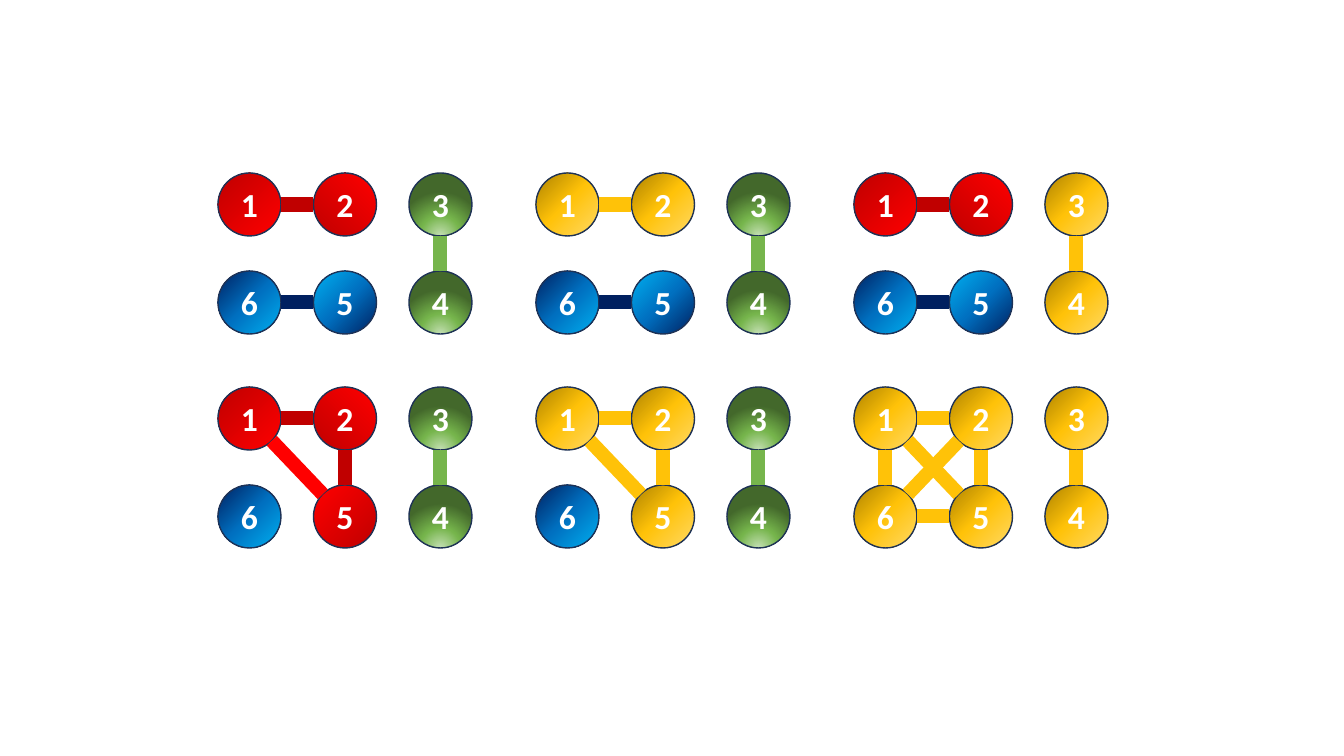
import pptx
import pptx.dml.color
import pptx.enum.shapes
import pptx.enum.text
import pptx.oxml
import pptx.oxml.ns
import pptx.util

EMU_PER_PX = 914400 / 100.8
DIAMETER = 63
LEFT, TOP = 218, 173
GROUP_DX, GROUP_DY = 318, 214
ROW_DY = 98
TWO_COLUMNS_DX = 191

RED = ((0, "C00000"), (100, "FF0000"))
RED_REVERSED = ((0, "FF0000"), (100, "C00000"))
BLUE = ((0, "00B0F0"), (50, "0070C0"), (100, "002060"))
GREEN = ((0, "C5E0B4"), (46, "76B54C"), (100, "43682B"))
GOLD = ((0, "AB8100"), (48, "FFC208"), (100, "FFD966"))

TOP_LEFT = (0, 0, 100, 100)
TOP_RIGHT = (100, 0, 0, 100)
BOTTOM_RIGHT = (100, 100, 0, 0)
BELOW = (50, 130, 50, -30)

FILLS = {
    "red1": (RED, TOP_LEFT),
    "red2": (RED_REVERSED, TOP_RIGHT),
    "red5": (RED, BOTTOM_RIGHT),
    "blue5": (BLUE, TOP_LEFT),
    "blue6": (BLUE, BOTTOM_RIGHT),
    "green": (GREEN, BELOW),
    "gold": (GOLD, None),
}
EDGE_COLORS = {
    "dark red": "C00000", "red": "FF0000", "navy": "002060",
    "green": "76B54C", "gold": "FFC208",
}

CELLS = {1: (0, 0), 2: (1, 0), 3: (2, 0), 4: (2, 1), 5: (1, 1), 6: (0, 1)}

GROUPS = [
    [
        ("red1 red2 green green blue5 blue6",
         {"dark red": "12", "navy": "65", "green": "34"}),
        ("gold gold green green blue5 blue6",
         {"gold": "12", "navy": "65", "green": "34"}),
        ("red1 red2 gold gold blue5 blue6",
         {"dark red": "12", "navy": "65", "gold": "34"}),
    ],
    [
        ("red1 red2 green green red5 blue6",
         {"dark red": "12 52", "red": "15", "green": "34"}),
        ("gold gold green green gold blue6",
         {"gold": "52 21 51", "green": "34"}),
        ("gold gold gold gold gold gold",
         {"gold": "34 61 52 21 65 51 62"}),
    ],
]


def px(n):
    return pptx.util.Emu(round(n * EMU_PER_PX))


def rgb(value):
    return pptx.dml.color.RGBColor.from_string(value)


def sign(n):
    return (n > 0) - (n < 0)


def apply(target, values):
    for name, value in values.items():
        setattr(target, name, value)


class Board:
    """Draws numbered nodes and their edges on one slide."""

    font = {"name": "Calibri", "size": pptx.util.Pt(24), "bold": True}
    frame = {"vertical_anchor": pptx.enum.text.MSO_ANCHOR.MIDDLE}
    outline = {"width": pptx.util.Pt(1)}
    edge_line = {"width": pptx.util.Pt(10)}

    def __init__(self, slide):
        self.slide = slide

    def gradient(self, sp, stops, focus):
        stop_xml = "".join(
            f'<a:gs pos="{pos * 1000}"><a:srgbClr val="{color}"/></a:gs>'
            for pos, color in stops
        )
        if focus is None:
            shade = '<a:lin ang="2700000" scaled="1"/>'
        else:
            sides = " ".join(f'{k}="{v * 1000}"' for k, v in zip("ltrb", focus))
            shade = f'<a:path path="circle"><a:fillToRect {sides}/></a:path>'
        fill = pptx.oxml.parse_xml(
            f'<a:gradFill {pptx.oxml.ns.nsdecls("a")} rotWithShape="1">'
            f"<a:gsLst>{stop_xml}</a:gsLst>{shade}</a:gradFill>"
        )
        sp._element.spPr.find(pptx.oxml.ns.qn("a:prstGeom")).addnext(fill)

    def node(self, number, center, fill):
        x, y = center
        sp = self.slide.shapes.add_shape(
            pptx.enum.shapes.MSO_SHAPE.OVAL,
            px(x - DIAMETER / 2), px(y - DIAMETER / 2), px(DIAMETER), px(DIAMETER),
        )
        sp.shadow.inherit = False
        self.gradient(sp, *FILLS[fill])
        sp.line.color.rgb = rgb("1E3256")
        apply(sp.line, self.outline)
        tf = sp.text_frame
        apply(tf, self.frame)
        p = tf.paragraphs[0]
        p.alignment = pptx.enum.text.PP_ALIGN.CENTER
        r = p.add_run()
        r.text = str(number)
        apply(r.font, self.font)
        r.font.color.rgb = rgb("FFFFFF")

    def edge(self, start, end, color):
        dx, dy = sign(end[0] - start[0]), sign(end[1] - start[1])
        reach = DIAMETER / 2 / (dx * dx + dy * dy) ** 0.5
        cxn = self.slide.shapes.add_connector(
            pptx.enum.shapes.MSO_CONNECTOR.STRAIGHT,
            px(start[0] + dx * reach), px(start[1] + dy * reach),
            px(end[0] - dx * reach), px(end[1] - dy * reach),
        )
        cxn.line.color.rgb = rgb(color)
        apply(cxn.line, self.edge_line)
        cxn._element.spPr.append(
            pptx.oxml.parse_xml(f'<a:effectLst {pptx.oxml.ns.nsdecls("a")}/>')
        )

    def group(self, left, top, fills, edges):
        centers = {
            number: (left + col * TWO_COLUMNS_DX / 2 + DIAMETER / 2,
                     top + row * ROW_DY + DIAMETER / 2)
            for number, (col, row) in CELLS.items()
        }
        for (number, center), fill in zip(centers.items(), fills.split()):
            self.node(number, center, fill)
        for color, pairs in edges.items():
            for start, end in pairs.split():
                self.edge(centers[int(start)], centers[int(end)], EDGE_COLORS[color])


def main():
    prs = pptx.Presentation()
    prs.slide_width, prs.slide_height = px(1344), px(756)
    board = Board(prs.slides.add_slide(prs.slide_layouts[6]))
    for row, groups in enumerate(GROUPS):
        for col, (fills, edges) in enumerate(groups):
            board.group(LEFT + col * GROUP_DX, TOP + row * GROUP_DY, fills, edges)
    prs.save("out.pptx")


if __name__ == "__main__":
    main()
